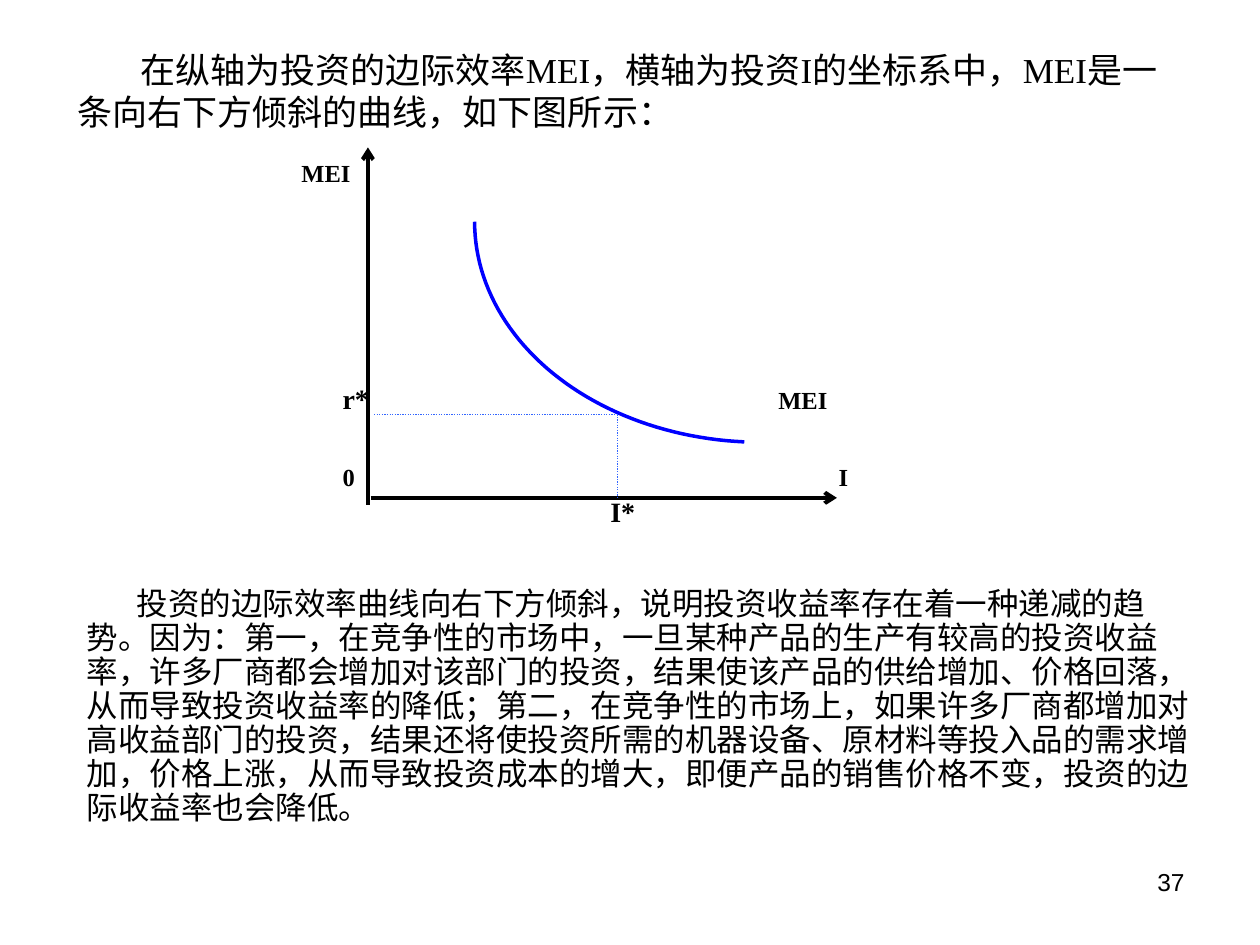
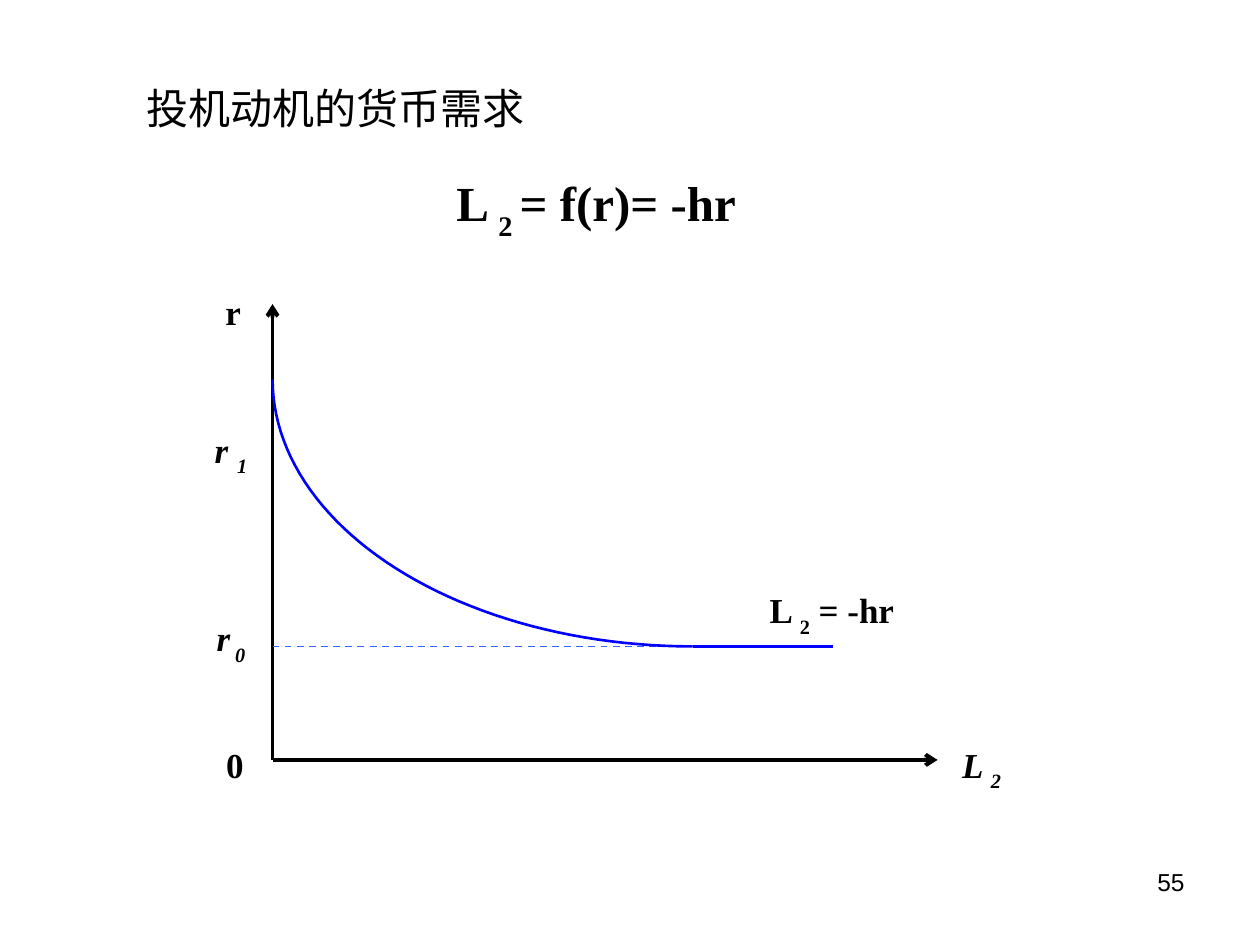
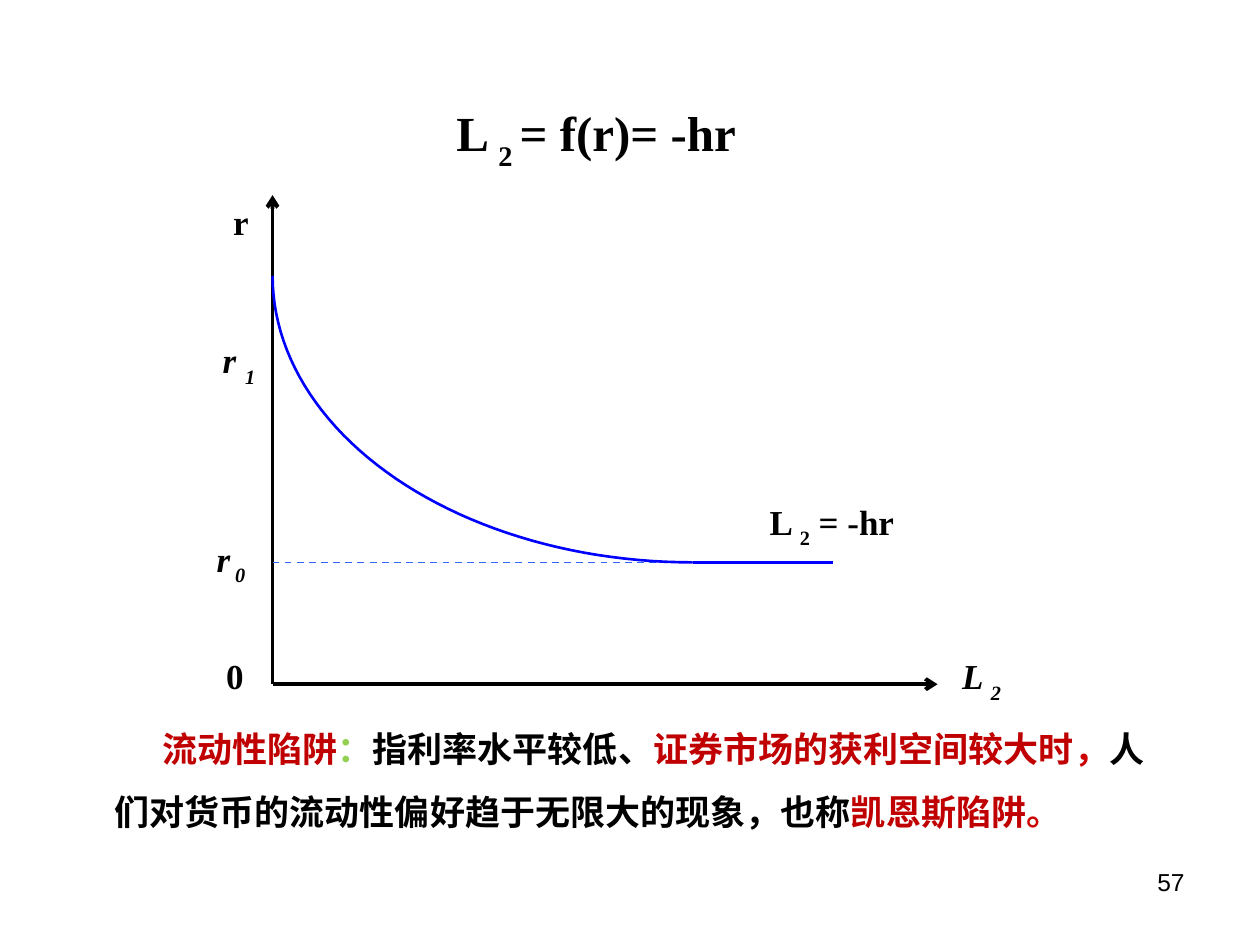
from math import cos, pi, sin

from lxml.etree import SubElement
from pptx import Presentation
from pptx.dml.color import RGBColor
from pptx.enum.dml import MSO_LINE as Dash
from pptx.enum.text import MSO_ANCHOR as Anchor, MSO_AUTO_SIZE as Fit, PP_ALIGN as Align
from pptx.oxml.ns import qn
from pptx.util import Pt

BLACK, BLUE, GUIDE = "000000", "0000FF", "3366FF"
RED, DEEP, GREEN = "CC0000", "C00000", "92D050"
SERIF, SANS = "Times New Roman", "Arial"


def paint(target, code):
    """Give a colour format the hex colour."""
    target.rgb = RGBColor.from_string(code)


def assign(target, values):
    """Set each attribute named in values on the target."""
    for name, value in values.items():
        setattr(target, name, value)


def place(shape, box):
    """Move a shape to the box (left, top, width, height) in points."""
    assign(shape, dict(zip(("left", "top", "width", "height"), map(Pt, box))))


def write(par, text, size, font=SERIF, color=BLACK, sub=False, **extra):
    """Add one run of text to a paragraph."""
    run = par.add_run()
    run.text = text
    assign(run.font, {"name": font, "size": Pt(size), **extra})
    paint(run.font.color, color)
    if sub:
        run.font._element.set("baseline", "-30000")


def label(slide, x, base, text, size=20, **extra):
    """Put bold text on a baseline; every second part between bars is a subscript."""
    box = slide.shapes.add_textbox(0, 0, 0, 0)
    place(box, (x, base - size, len(text) * size, size * 1.3))
    frame = box.text_frame
    assign(frame, dict(margin_left=0, margin_top=0, margin_right=0,
                       margin_bottom=0, word_wrap=True))
    for i, part in enumerate(text.split("|")):
        write(frame.paragraphs[0], part, size, sub=i % 2 == 1, bold=True, **extra)


def fill(holder, box, parts, size, first=0, left=0, space=1.0, anchor=Anchor.TOP, **extra):
    """Fill a placeholder with one plain paragraph of (text, colour) parts."""
    place(holder, box)
    assign(holder.text_frame, dict(auto_size=Fit.NONE, word_wrap=True,
                                   vertical_anchor=anchor))
    par = holder.text_frame.paragraphs[0]
    assign(par, dict(alignment=Align.LEFT, line_spacing=space, space_before=Pt(0)))
    props = par._p.get_or_add_pPr()
    for name, value in dict(marL=Pt(left), indent=Pt(first), hangingPunct=0).items():
        props.set(name, str(value))
    SubElement(props, qn("a:buNone"))
    for text, color in parts:
        write(par, text, size, color=color, **extra)


def line(slide, start, end, color=BLACK, width=2.25, dash=None, arrow=False):
    """Draw a straight line between two points."""
    link = slide.shapes.add_connector(1, *map(Pt, (*start, *end)))
    paint(link.line.color, color)
    assign(link.line, dict(width=Pt(width), dash_style=dash))
    props = link._element.spPr
    if arrow:
        SubElement(props.find(qn("a:ln")), qn("a:tailEnd"), type="arrow")
    SubElement(props, qn("a:effectLst"))


def bend(slide, box, width, sweep=90, steps=48):
    """Draw a falling elliptic curve from the box's top left corner."""
    x, y, wide, high = box
    turns = [sweep * pi / 180 * i / steps for i in range(steps + 1)]
    dots = [(Pt(x + wide * (1 - cos(t))), Pt(y + high * sin(t))) for t in turns]
    form = slide.shapes.build_freeform(*dots[0])
    form.add_line_segments(dots[1:], close=False)
    curve = form.convert_to_shape()
    curve.shadow.inherit = False
    curve.fill.background()
    paint(curve.line.color, BLUE)
    curve.line.width = Pt(width)


def page(slide, number):
    """Write the page number at the lower right."""
    box = slide.shapes.add_textbox(0, 0, 0, 0)
    place(box, (516, 492, 168, 36))
    box.text_frame.word_wrap = True
    par = box.text_frame.paragraphs[0]
    par.alignment = Align.RIGHT
    write(par, number, 14, SANS)


def invest(slide, box):
    """Draw the falling MEI curve with its guides in the box of the axes."""
    x, y, wide, high = box
    foot, mid, rate = y + high - 4, x + 142.5, y + 152.5
    line(slide, (x + 1.5, foot), (x + wide, foot), arrow=True)
    bend(slide, (x + 61, y + 42.5, 163.5, 126), 2, sweep=86.7)
    guide = dict(color=GUIDE, width=0.75, dash=Dash.ROUND_DOT)
    line(slide, (x + 3.5, rate), (mid, rate), **guide)
    line(slide, (mid, rate), (mid, foot), **guide)
    line(slide, (x, y + high), (x, y), arrow=True)
    for dx, dy, text, size in ((-38, 20, "MEI", 14), (-14.5, 149.5, "r*", 16),
                               (234.5, 150, "MEI", 14), (-14.5, 193.5, "0", 14),
                               (269, 193.5, "I", 14), (138.5, 214.5, "I*", 16)):
        label(slide, x + dx, y + dy, text, size)


def money(slide, box, head, low, gap):
    """Draw money demand; head shifts the r labels, low and gap the foot and floor ones."""
    x, y, wide, high = box
    foot, peak, floor = y + high, y + high * 0.165, y + high * 0.751
    kink, dx, dy = x + 240, *head
    line(slide, (x, foot), (x, y), arrow=True)
    line(slide, (x, foot), (x + wide, foot), arrow=True)
    line(slide, (kink, floor), (kink + 80, floor), BLUE, 1.5)
    line(slide, (kink, floor), (x, floor), GUIDE, 1, Dash.DASH)
    bend(slide, (x, peak, 240, floor - peak), 1.5)
    label(slide, x + 284, floor - gap, "L |2| = -hr")
    label(slide, x + dx, y + dy, "r")
    label(slide, x + dx - 6, y + dy + 79, "r |1", italic=True)
    label(slide, x - 32, floor + gap - 10, "r| 0", italic=True)
    label(slide, x - 26.5, foot + low, "0")
    label(slide, x + 394, foot + low, "L |2", italic=True)


def rule(slide, base):
    """Write the demand formula on a baseline."""
    label(slide, 260.75, base, "L |2 |= f(r)= -hr", 28)


def start(deck, layout, number):
    """Add a numbered slide and return it with its placeholders."""
    slide = deck.slides.add_slide(deck.slide_layouts[layout])
    page(slide, number)
    return slide, list(slide.placeholders)


def main():
    """Build the three slides."""
    deck = Presentation()
    assign(deck, dict(slide_width=Pt(720), slide_height=Pt(540)))

    slide, (title, body) = start(deck, 1, "37")
    fill(title, (36.9, 20, 648, 63),
         [("在纵轴为投资的边际效率MEI，横轴为投资I的坐标系中，MEI是一条向右下方倾斜的曲线，如下图所示：", BLACK)],
         20, first=36, anchor=Anchor.MIDDLE)
    invest(slide, (210.25, 84.25, 268, 204.25))
    fill(body, (42.5, 332.5, 652.5, 143),
         [("投资的边际效率曲线向右下方倾斜，说明投资收益率存在着一种递减的趋势。"
           "因为：第一，在竞争性的市场中，一旦某种产品的生产有较高的投资收益率，"
           "许多厂商都会增加对该部门的投资，结果使该产品的供给增加、价格回落，"
           "从而导致投资收益率的降低；第二，在竞争性的市场上，"
           "如果许多厂商都增加对高收益部门的投资，结果还将使投资所需的机器设备、"
           "原材料等投入品的需求增加，价格上涨，从而导致投资成本的增大，"
           "即便产品的销售价格不变，投资的边际收益率也会降低。", BLACK)],
         18, first=28.5, space=0.9, font=SANS)

    slide, (title,) = start(deck, 5, "55")
    fill(title, (76.5, 46.5, 238, 30), [("投机动机的货币需求", BLACK)], 24,
         anchor=Anchor.MIDDLE, font=SANS)
    rule(slide, 126.5)
    money(slide, (155.75, 173.75, 380, 260.5), (-27, 12), 10.5, 13)

    slide, (title, body) = start(deck, 1, "57")
    title._element.getparent().remove(title._element)
    rule(slide, 86.5)
    money(slide, (155.75, 111.5, 380, 279.5), (-22.5, 23), 3, 15.5)
    fill(body, (31, 400, 635, 88.5),
         [("流动性陷阱", DEEP), ("：", GREEN), ("指利率水平较低、", BLACK),
          ("证券市场的获利空间较大时", DEEP), ("，", RED),
          ("人们对货币的流动性偏好趋于无限大的现象，也称", BLACK),
          ("凯恩斯陷阱", DEEP), ("。", RED)],
         20, first=27.25, left=27.25, space=1.5, bold=True)

    deck.save("out.pptx")


if __name__ == "__main__":
    main()
